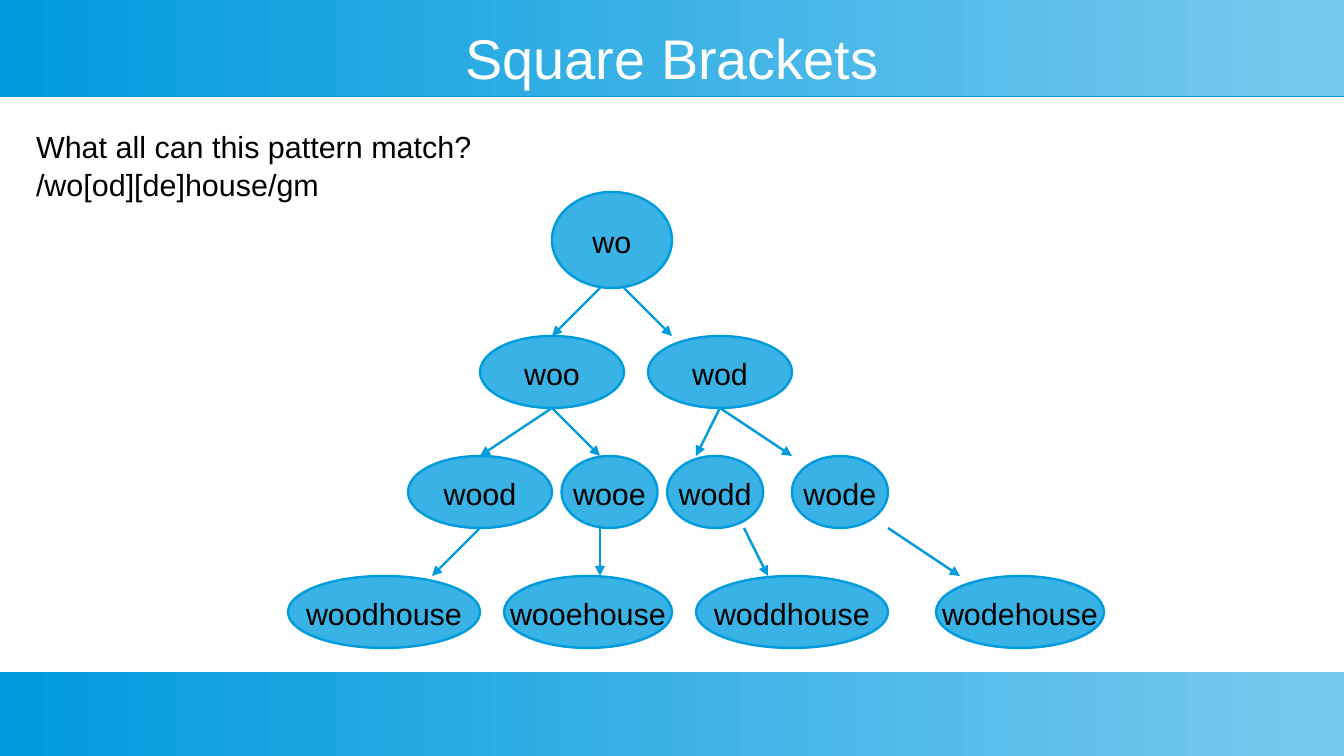
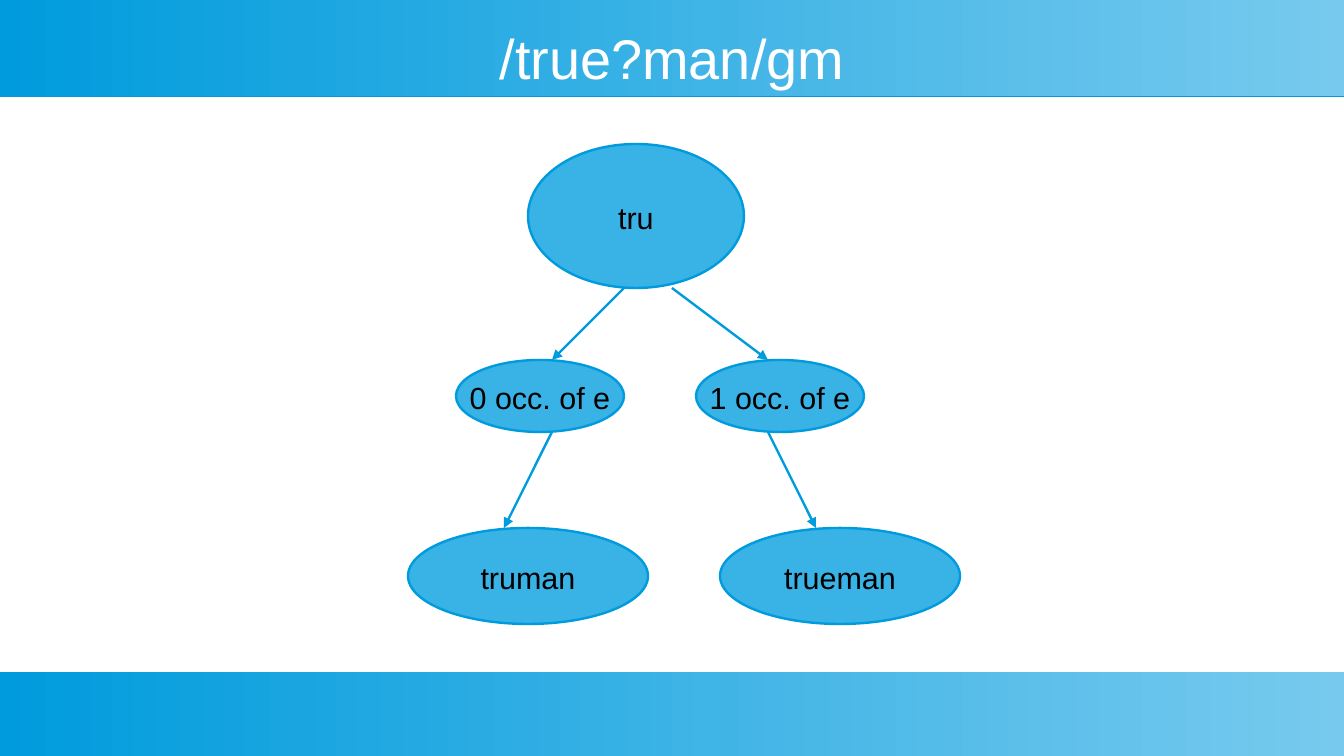
from lxml import etree
from pptx import Presentation
from pptx.dml.color import RGBColor
from pptx.enum.shapes import MSO_CONNECTOR, MSO_SHAPE
from pptx.enum.text import MSO_ANCHOR, PP_ALIGN
from pptx.oxml.ns import qn
from pptx.util import Pt

STRAIGHT = MSO_CONNECTOR.STRAIGHT
RECTANGLE, ELLIPSE = MSO_SHAPE.RECTANGLE, MSO_SHAPE.OVAL
TOP, MIDDLE = MSO_ANCHOR.TOP, MSO_ANCHOR.MIDDLE
LEFT, CENTER = PP_ALIGN.LEFT, PP_ALIGN.CENTER

GRID = 14.17  # points in one grid step; all places below count grid steps
DARK_BLUE, MID_BLUE, LIGHT_BLUE = "009BDD", "39B2E5", "77CAEE"
WHITE, BLACK = "FFFFFF", "000000"
LINE_WIDTH = Pt(1.42)

TITLE_PLACE = (2, 1, 52, 2.65)
QUESTION_PLACE = (1, 5, 43, 6.2)
BAND_PLACES = [(0, 0, 56, 4), (0, 28, 56, 3.5)]
TITLE_STYLE = {"size": Pt(33), "name": "Arial"}
BODY_STYLE = {"size": Pt(18), "name": "Arial"}
TITLE_FRAME = {"vertical_anchor": MIDDLE, "word_wrap": True, "margin_left": 0,
               "margin_top": 0, "margin_right": 0, "margin_bottom": 0}
QUESTION_FRAME = {"vertical_anchor": TOP, "word_wrap": True}
NODE_FRAME = {"vertical_anchor": MIDDLE, "word_wrap": False}

# Nodes are (text, left, top, width, height); arrows are (from x, from y, to x, to y).
SLIDES = [
    {
        "title": "Square Brackets",
        "question": ["What all can this pattern match?", "/wo[od][de]house/gm"],
        "nodes": [
            ("wo", 23, 8, 5, 4),
            ("woo", 20, 14, 6, 3), ("wod", 27, 14, 6, 3),
            ("wood", 17, 19, 6, 3), ("wooe", 23.4, 19, 4, 3),
            ("wodd", 27.8, 19, 4, 3), ("wode", 33, 19, 4, 3),
            ("woodhouse", 12, 24, 8, 3), ("wooehouse", 21, 24, 7, 3),
            ("woddhouse", 29, 24, 8, 3), ("wodehouse", 39, 24, 7, 3),
        ],
        "arrows": [
            (25, 12, 23, 14), (26, 12, 28, 14),
            (23, 17, 20, 19), (23, 17, 25, 19), (30, 17, 29, 19), (30, 17, 33, 19),
            (20, 22, 18, 24), (25, 22, 25, 24), (31, 22, 32, 24), (37, 22, 40, 24),
        ],
    },
    {
        "title": "/true?man/gm",
        "question": [],
        "nodes": [
            ("tru", 22, 6, 9, 6),
            ("0 occ. of e", 19, 15, 7, 3), ("1 occ. of e", 29, 15, 7, 3),
            ("truman", 17, 22, 10, 4), ("trueman", 30, 22, 10, 4),
        ],
        "arrows": [
            (26, 12, 23, 15), (28, 12, 32, 15),
            (23, 18, 21, 22), (32, 18, 34, 22),
        ],
    },
]


def color(hex_string):
    return RGBColor.from_string(hex_string)


def write_text(shape, lines, frame_format, font_format, font_color, alignment):
    frame = shape.text_frame
    for name, value in frame_format.items():
        setattr(frame, name, value)
    frame.text = "\n".join(lines)
    for para in frame.paragraphs:
        para.alignment = alignment
        para.line_spacing = 1.05
        for span in para.runs:
            for name, value in font_format.items():
                setattr(span.font, name, value)
            span.font.color.rgb = color(font_color)


deck = Presentation()
deck.slide_width, deck.slide_height = Pt(56 * GRID), Pt(31.5 * GRID)
layout = deck.slide_layouts[5]
for placeholder in list(layout.placeholders)[1:]:
    layout.placeholders.element.remove(placeholder.element)
pages = [deck.slides.add_slide(layout) for _ in SLIDES]

# Bands are drawn on a page, then moved behind the title of the shared layout.
for place in BAND_PLACES:
    band = pages[0].shapes.add_shape(RECTANGLE, *[Pt(n * GRID) for n in place])
    band.fill.gradient()
    band.fill.gradient_angle = 0
    for stop, shade in zip(band.fill.gradient_stops, (DARK_BLUE, LIGHT_BLUE)):
        stop.color.rgb = color(shade)
    band.line.fill.background()
    effects = etree.SubElement(band.element.spPr, qn("a:effectLst"))
    shadow = etree.SubElement(effects, qn("a:outerShdw"), dist=str(Pt(0.9)), dir="5400000",
                              algn="ctr", rotWithShape="0")
    etree.SubElement(shadow, qn("a:srgbClr"), val=DARK_BLUE)
    layout.shapes.element.insert(2, band.element)

for page, content in zip(pages, SLIDES):
    title = page.shapes.title
    title.left, title.top, title.width, title.height = [Pt(n * GRID) for n in TITLE_PLACE]
    write_text(title, [content["title"]], TITLE_FRAME, TITLE_STYLE, WHITE, CENTER)

    if content["question"]:
        box = page.shapes.add_textbox(*[Pt(n * GRID) for n in QUESTION_PLACE])
        write_text(box, content["question"], QUESTION_FRAME, BODY_STYLE, BLACK, LEFT)

    for ends in content["arrows"]:
        arrow = page.shapes.add_connector(STRAIGHT, *[Pt(n * GRID) for n in ends])
        arrow.line.color.rgb = color(DARK_BLUE)
        arrow.line.width = LINE_WIDTH
        etree.SubElement(arrow.get_or_add_ln(), qn("a:tailEnd"), type="triangle")
        etree.SubElement(arrow.element.spPr, qn("a:effectLst"))

    for text, *place in content["nodes"]:
        node = page.shapes.add_shape(ELLIPSE, *[Pt(n * GRID) for n in place])
        node.shadow.inherit = False
        node.fill.solid()
        node.fill.fore_color.rgb = color(MID_BLUE)
        node.line.color.rgb = color(DARK_BLUE)
        node.line.width = LINE_WIDTH
        write_text(node, [text], NODE_FRAME, BODY_STYLE, BLACK, CENTER)

deck.save("out.pptx")
